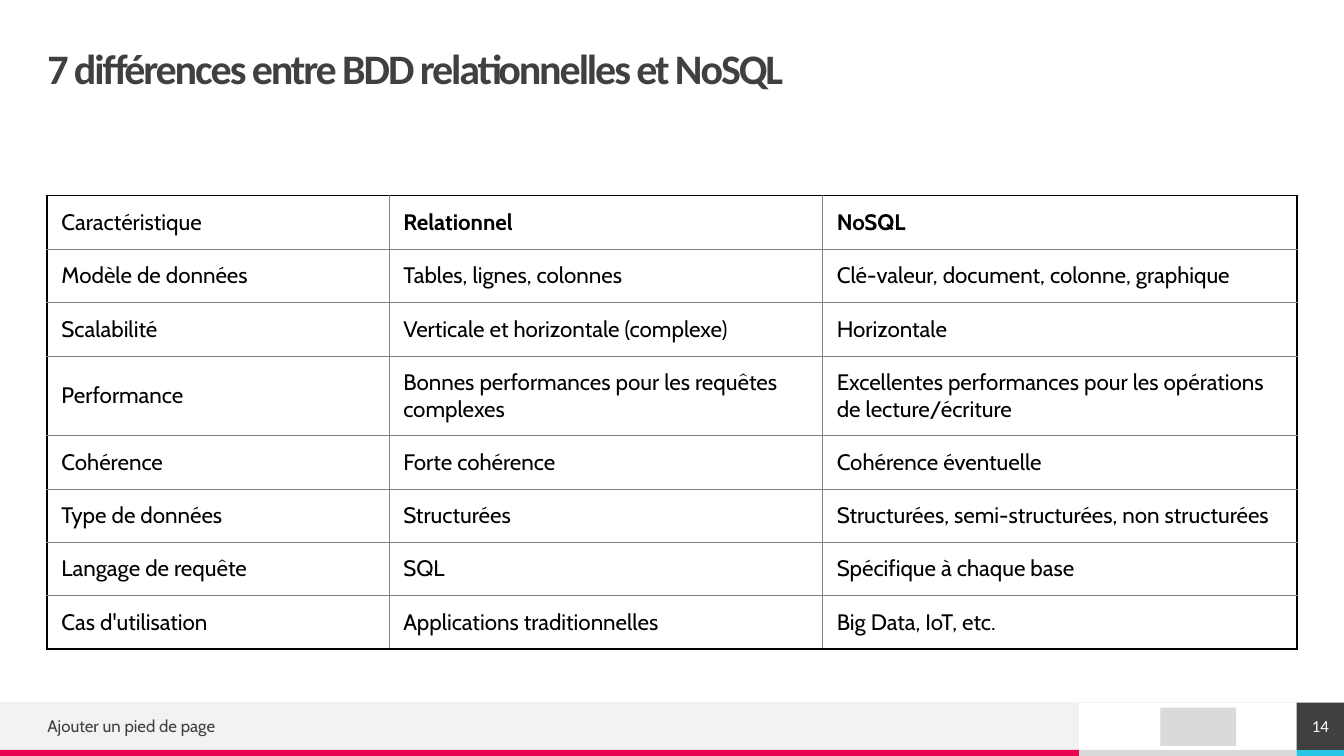
import pptx
import pptx.util
from lxml import etree
from pptx.dml.color import RGBColor
from pptx.enum.shapes import MSO_CONNECTOR, MSO_SHAPE
from pptx.enum.text import MSO_ANCHOR, PP_ALIGN
from pptx.oxml.ns import qn

PX = 9144  # 100 px to the inch
WIDTH, HEIGHT = 1333, 750
MARGIN, RIGHT = 47, 1286
FOOTER_TOP, STRIP_TOP = 697, 744
FOOTER_H, STRIP_H = STRIP_TOP - FOOTER_TOP, HEIGHT - STRIP_TOP
FOOTER_W = 1070

BLACK = RGBColor(0x00, 0x00, 0x00)
WHITE = RGBColor(0xFF, 0xFF, 0xFF)
DARK = RGBColor(0x40, 0x40, 0x40)
GREY = RGBColor(0x80, 0x80, 0x80)
SILVER = RGBColor(0xDA, 0xDA, 0xDA)
PALE = RGBColor(0xF2, 0xF2, 0xF2)
PINK = RGBColor(0xE8, 0x05, 0x54)
CYAN = RGBColor(0x25, 0xC6, 0xE3)

COLUMNS = [339, 430, 470]
ROW_H, TALL_ROW_H, TALL_ROW = 53, 79, 3
ROWS = [
    ("Caractéristique", "Relationnel", "NoSQL"),
    ("Modèle de données", "Tables, lignes, colonnes",
     "Clé-valeur, document, colonne, graphique"),
    ("Scalabilité", "Verticale et horizontale (complexe)", "Horizontale"),
    ("Performance", "Bonnes performances pour les requêtes complexes",
     "Excellentes performances pour les opérations de lecture/écriture"),
    ("Cohérence", "Forte cohérence", "Cohérence éventuelle"),
    ("Type de données", "Structurées",
     "Structurées, semi-structurées, non structurées"),
    ("Langage de requête", "SQL", "Spécifique à chaque base"),
    ("Cas d'utilisation", "Applications traditionnelles",
     "Big Data, IoT, etc."),
]


def px(*lengths):
    return [pptx.util.Emu(n * PX) for n in lengths]


def add_run(p, text, font, size, color, bold=False):
    r = p.add_run()
    r.text = text
    r.font.name = font
    r.font.size = pptx.util.Pt(size)
    r.font.bold = bold
    r.font.color.rgb = color
    return r


def set_frame(tf):
    """Wrap, centre vertically and drop the insets; return the paragraph."""
    tf.word_wrap = True
    tf.vertical_anchor = MSO_ANCHOR.MIDDLE
    tf.margin_left = tf.margin_top = tf.margin_right = tf.margin_bottom = 0
    return tf.paragraphs[0]


def add_text(s, box):
    return set_frame(s.shapes.add_textbox(*px(*box)).text_frame)


def add_rect(s, box, color):
    sp = s.shapes.add_shape(MSO_SHAPE.RECTANGLE, *px(*box))
    sp.shadow.inherit = False
    sp.fill.solid()
    sp.fill.fore_color.rgb = color
    sp.line.fill.background()
    return sp


def add_line(s, ends, color, width):
    line = s.shapes.add_connector(MSO_CONNECTOR.STRAIGHT, *px(*ends))
    line.line.color.rgb = color
    line.line.width = pptx.util.Pt(width)
    etree.SubElement(line._element.spPr, qn("a:effectLst"))


def set_border(cell, side, outer):
    color, width = (BLACK, 1.5) if outer else (GREY, 0.5)
    ln = etree.SubElement(cell._tc.get_or_add_tcPr(), qn("a:ln" + side),
                          w=str(pptx.util.Pt(width)))
    fill = etree.SubElement(ln, qn("a:solidFill"))
    etree.SubElement(fill, qn("a:srgbClr"), val=str(color))


def add_comparison(s):
    heights = [TALL_ROW_H if i == TALL_ROW else ROW_H
               for i in range(len(ROWS))]
    frame = s.shapes.add_table(
        len(ROWS), len(COLUMNS),
        *px(MARGIN, 194, sum(COLUMNS), sum(heights)))
    table = frame.table
    table.first_row = table.horz_banding = False
    for column, width in zip(table.columns, px(*COLUMNS)):
        column.width = width
    for row, height in zip(table.rows, px(*heights)):
        row.height = height
    last_row, last_col = len(ROWS) - 1, len(COLUMNS) - 1
    for i, texts in enumerate(ROWS):
        for j, text in enumerate(texts):
            cell = table.cell(i, j)
            cell.vertical_anchor = MSO_ANCHOR.MIDDLE
            (cell.margin_left, cell.margin_top,
             cell.margin_right, cell.margin_bottom) = px(14, 11, 11, 11)
            set_border(cell, "L", j == 0)
            set_border(cell, "R", j == last_col)
            set_border(cell, "T", i == 0)
            set_border(cell, "B", i == last_row)
            cell.fill.background()
            add_run(cell.text_frame.paragraphs[0], text, "Cabin", 16, BLACK,
                    bold=i == 0 and j > 0)


def add_title(s):
    p = add_text(s, (MARGIN, 47, RIGHT - MARGIN, 47))
    p.line_spacing = 0.9
    r = add_run(p, "7 différences entre BDD relationnelles et NoSQL",
                "Calibri", 30, DARK, bold=True)
    r.font._element.set("spc", "-150")


def add_footer(s):
    add_rect(s, (FOOTER_W, STRIP_TOP, RIGHT - FOOTER_W, STRIP_H), SILVER)
    add_rect(s, (0, FOOTER_TOP, FOOTER_W, FOOTER_H), PALE)
    add_rect(s, (0, STRIP_TOP, FOOTER_W, STRIP_H), PINK)
    add_rect(s, (RIGHT, STRIP_TOP, WIDTH - RIGHT, STRIP_H), CYAN)
    add_line(s, (WIDTH, FOOTER_TOP, 0, FOOTER_TOP), PALE, 0.5)
    emblem_box = (1151, 702, 75, 38)
    add_rect(s, emblem_box, SILVER)

    p = add_text(s, (MARGIN, 704, 619, 32))
    p.space_after = pptx.util.Pt(6)
    add_run(p, "Ajouter un pied de page", "Cabin", 12, DARK)

    number = add_rect(s, (RIGHT, FOOTER_TOP, WIDTH - RIGHT, FOOTER_H), DARK)
    p = set_frame(number.text_frame)
    p.alignment = PP_ALIGN.CENTER
    p.space_after = pptx.util.Pt(6)
    add_run(p, "14", "Calibri", 12, WHITE)


def main():
    prs = pptx.Presentation()
    prs.slide_width, prs.slide_height = px(WIDTH, HEIGHT)
    s = prs.slides.add_slide(prs.slide_layouts[6])
    add_footer(s)
    add_title(s)
    add_comparison(s)
    prs.save("out.pptx")


if __name__ == "__main__":
    main()
